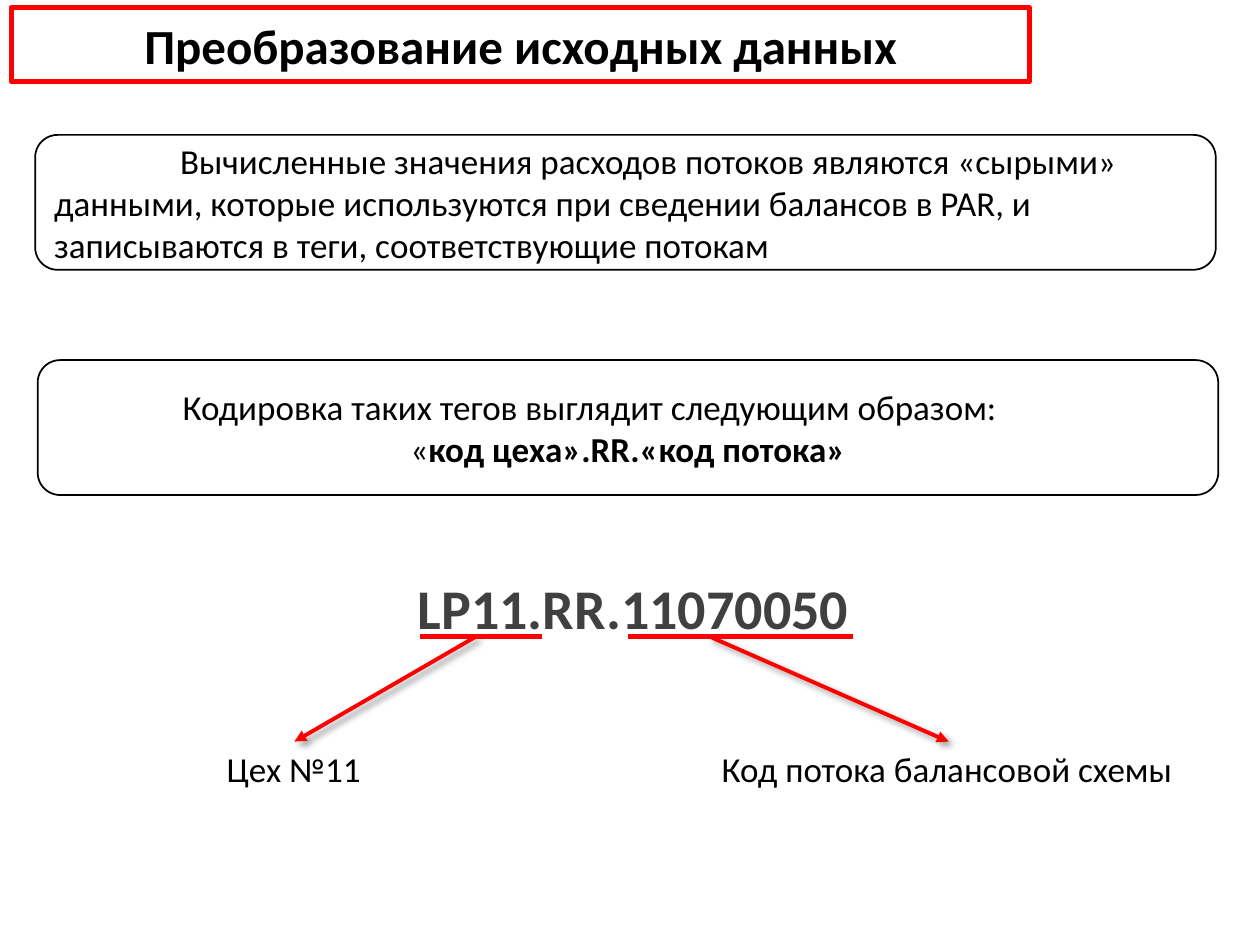
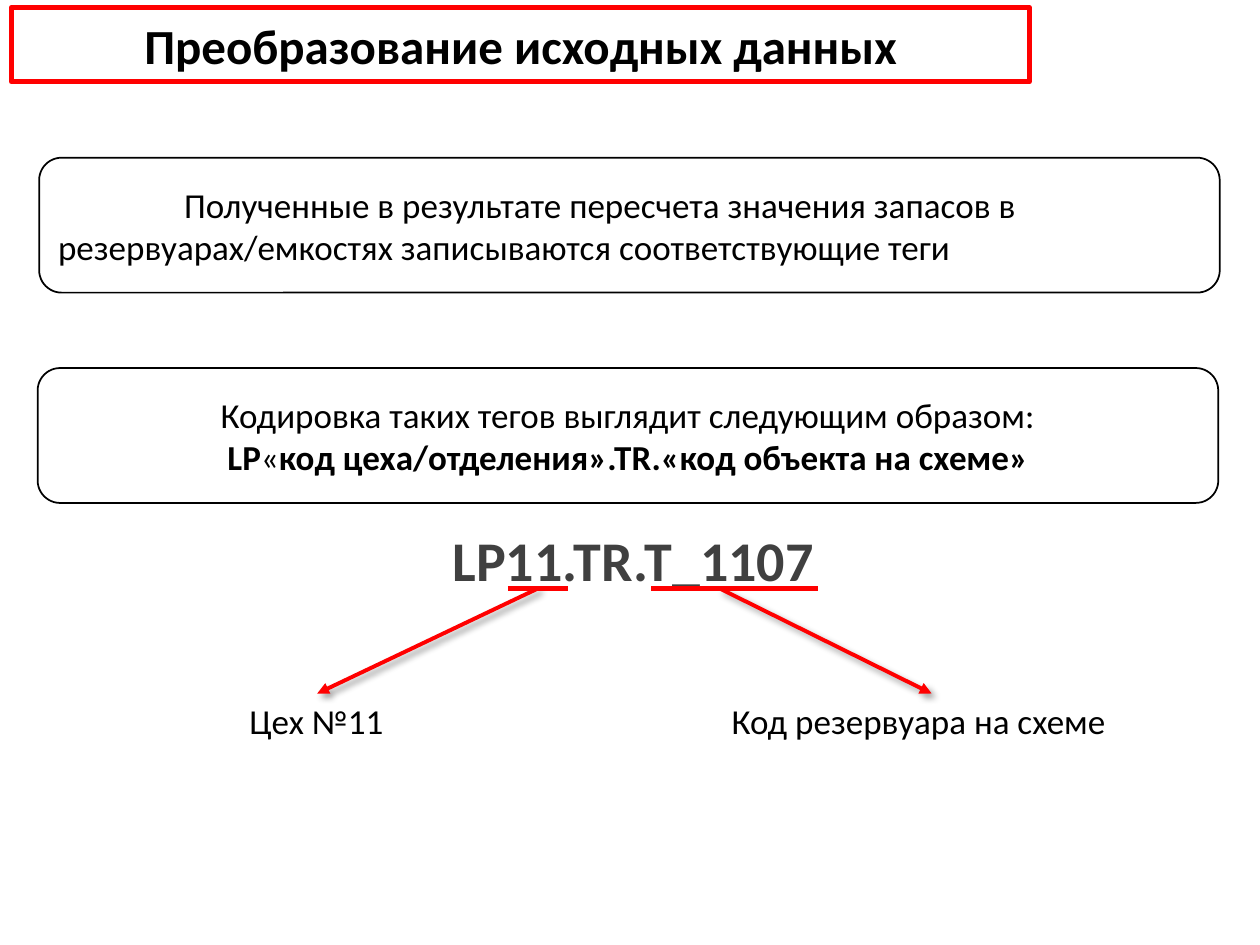
from lxml import etree
from pptx import Presentation
from pptx.dml.color import RGBColor
from pptx.enum.shapes import MSO_CONNECTOR, MSO_SHAPE
from pptx.enum.text import MSO_ANCHOR, MSO_AUTO_SIZE, PP_ALIGN
from pptx.oxml.ns import qn
from pptx.util import Cm, Pt

RED = RGBColor(0xFF, 0x00, 0x00)
BLACK = RGBColor(0x00, 0x00, 0x00)
WHITE = RGBColor(0xFF, 0xFF, 0xFF)
GRAY = RGBColor(0x40, 0x40, 0x40)
FONT = "Calibri"
TITLE = "Преобразование исходных данных"

LEFT, CENTER = PP_ALIGN.LEFT, PP_ALIGN.CENTER
MIDDLE, TOP = MSO_ANCHOR.MIDDLE, MSO_ANCHOR.TOP
NO_FIT = MSO_AUTO_SIZE.NONE
STRAIGHT, ROUNDED = MSO_CONNECTOR.STRAIGHT, MSO_SHAPE.ROUNDED_RECTANGLE

# Shared sizes, in centimetres
TITLE_BOX = (0.23, 0.15, 20.52, 1.5)
NOTE_WIDTH, NOTE_HEIGHT = 23.8, 2.72
CODE_LEFT, CODE_WIDTH, CODE_HEIGHT = 2.16, 21.21, 2.18
UNDERLINE_DROP, LABEL_DROP, LABEL_HEIGHT = 1.4, 3.52, 1.11
FIRST_LINE_INDENT = 2.54


def place(shape, left, top, width, height):
    shape.left, shape.top = Cm(left), Cm(top)
    shape.width, shape.height = Cm(width), Cm(height)


def style_para(para, size, bold=False, color=BLACK, align=LEFT):
    para.alignment = align
    for span in para.runs:
        font = span.font
        font.name, font.size, font.bold = FONT, Pt(size), bold
        font.color.rgb = color


def style_outline(shape, color, width):
    shape.fill.solid()
    shape.fill.fore_color.rgb = WHITE
    shape.line.color.rgb = color
    shape.line.width = Pt(width)


def add_title(page):
    title = page.shapes.title
    place(title, *TITLE_BOX)
    geometry = etree.SubElement(title._element.spPr, qn("a:prstGeom"), prst="roundRect")
    etree.SubElement(geometry, qn("a:avLst"))
    style_outline(title, RED, 3)
    frame = title.text_frame
    frame.text = TITLE
    frame.auto_size = NO_FIT
    frame.vertical_anchor = MIDDLE
    style_para(frame.paragraphs[0], 28, bold=True, align=CENTER)


def add_note(page, left, top, paragraphs):
    """Rounded box; each paragraph is (alignment, indent, [(text, bold), ...])."""
    box = page.shapes.add_shape(ROUNDED, Cm(left), Cm(top), Cm(NOTE_WIDTH), Cm(NOTE_HEIGHT))
    box.shadow.inherit = False
    style_outline(box, BLACK, 1)
    frame = box.text_frame
    frame.word_wrap = True
    frame.vertical_anchor = MIDDLE
    for number, (align, indent, parts) in enumerate(paragraphs):
        para = frame.add_paragraph() if number else frame.paragraphs[0]
        for text, _ in parts:
            para.add_run().text = text
        style_para(para, 20, align=align)
        for span, (_, bold) in zip(para.runs, parts):
            span.font.bold = bold
        if indent:
            para._p.get_or_add_pPr().set("indent", str(Cm(indent)))


def add_line(page, start, end, width):
    line = page.shapes.add_connector(STRAIGHT, *(Cm(value) for value in start + end))
    line.line.color.rgb = RED
    line.line.width = Pt(width)
    effects = etree.SubElement(line._element.spPr, qn("a:effectLst"))
    return line, effects


def add_arrow(page, start, end):
    arrow, effects = add_line(page, start, end, 2.25)
    etree.SubElement(arrow.line._get_or_add_ln(), qn("a:tailEnd"), type="triangle")
    shadow = etree.SubElement(effects, qn("a:outerShdw"), blurRad=str(Pt(4)),
                              dist=str(Pt(3)), dir="2700000", rotWithShape="0")
    color = etree.SubElement(shadow, qn("a:srgbClr"), val="000000")
    etree.SubElement(color, qn("a:alpha"), val="40000")


def add_label(page, left, top, width, text):
    box = page.shapes.add_textbox(Cm(left), Cm(top), Cm(width), Cm(LABEL_HEIGHT))
    box.text_frame.word_wrap = False
    box.text_frame.text = text
    style_para(box.text_frame.paragraphs[0], 20)


def add_tag_code(page, top, code, callouts):
    """Tag with underlined parts, each leading by an arrow to its label."""
    body = page.placeholders[1]
    place(body, CODE_LEFT, top, CODE_WIDTH, CODE_HEIGHT)
    frame = body.text_frame
    frame.text = code
    frame.auto_size = NO_FIT
    frame.vertical_anchor = TOP
    para = frame.paragraphs[0]
    style_para(para, 32, bold=True, color=GRAY, align=CENTER)
    properties = para._p.get_or_add_pPr()
    properties.set("marL", "0")
    properties.set("indent", "0")
    etree.SubElement(properties, qn("a:buNone"))

    line_top, label_top = top + UNDERLINE_DROP, top + LABEL_DROP
    for (line_left, line_right), arrow_left, (label_left, label_width, text) in callouts:
        add_arrow(page, (arrow_left, line_top), (label_left + label_width / 2, label_top))
        add_line(page, (line_left, line_top), (line_right, line_top), 3)
        add_label(page, label_left, label_top, label_width, text)


def add_coding_page(deck, notes, tag):
    page = deck.slides.add_slide(deck.slide_layouts[1])
    add_title(page)
    add_tag_code(page, *tag)
    for note in notes:
        add_note(page, *note)


def main():
    deck = Presentation()
    deck.slide_width, deck.slide_height = Cm(25.4), Cm(19.05)
    coding_intro = [("Кодировка таких тегов выглядит следующим образом:", False)]

    # Flow tags
    add_coding_page(
        deck,
        notes=[
            (0.76, 7.26, [
                (LEFT, FIRST_LINE_INDENT, coding_intro),
                (CENTER, 0, [("«", False), ("код цеха».RR.«код потока»", True)]),
            ]),
            (0.71, 2.72, [
                (LEFT, FIRST_LINE_INDENT, [(
                    "Вычисленные значения расходов потоков являются «сырыми» данными, "
                    "которые используются при сведении балансов в PAR, и записываются "
                    "в теги, соответствующие потокам", False)]),
            ]),
        ],
        tag=(11.43, "LP11.RR.11070050", [
            ((8.46, 10.92), 9.6, (4.32, 3.23, "Цех №11")),
            ((12.65, 17.2), 14.3, (14.3, 9.65, "Код потока балансовой схемы")),
        ]),
    )

    # Tank tags
    add_coding_page(
        deck,
        notes=[
            (0.76, 7.42, [
                (CENTER, 0, coding_intro),
                (CENTER, 0, [("LP", True), ("«", False),
                             ("код цеха/отделения».TR.«код объекта на схеме»", True)]),
            ]),
            (0.79, 3.18, [
                (LEFT, FIRST_LINE_INDENT, [(
                    "Полученные в результате пересчета значения запасов в "
                    "резервуарах/емкостях записываются соответствующие теги", False)]),
            ]),
        ],
        tag=(10.46, "LP11.TR.T_1107", [
            ((10.24, 11.46), 10.85, (4.78, 3.23, "Цех №11")),
            ((13.13, 16.48), 14.5, (14.5, 8.56, "Код резервуара на схеме")),
        ]),
    )
    deck.save("out.pptx")


if __name__ == "__main__":
    main()
